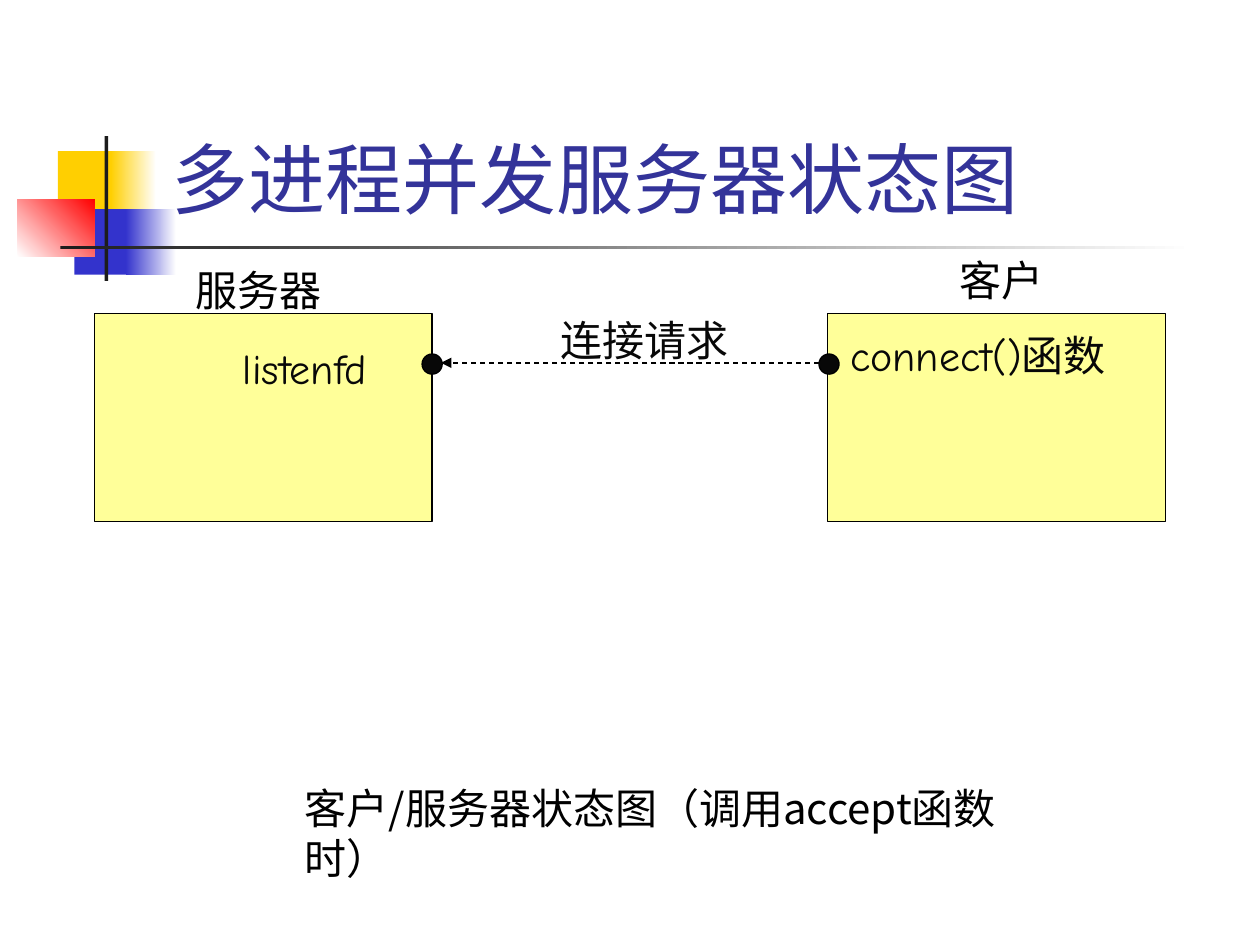
from lxml import etree
from pptx import Presentation
from pptx import util as u
from pptx.dml.color import RGBColor
from pptx.enum import dml, shapes, text
from pptx.oxml.ns import qn

COLORS = {
    "white": "FFFFFF", "black": "000000", "ink": "080808", "bar": "1C1C1C",
    "gold": "FFCF01", "blue": "3333CC", "red": "FF0000",
    "title": "333399", "box": "FFFF99",
}


def rgb(name):
    return RGBColor.from_string(COLORS[name])


class Diagram:
    """Slide on a grid of 100 columns by 75 rows; places are x, y, w, h."""

    def __init__(self, prs):
        self.col, self.row = prs.slide_width / 100, prs.slide_height / 75
        self.s = prs.slides.add_slide(prs.slide_layouts[5])
        self.size = u.Pt(24)
        self.line_width = u.Pt(0.75)

    def place(self, x, y, *extent):
        units = (self.col, self.row, self.col, self.row)
        return [u.Emu(round(v * unit)) for v, unit in zip((x, y, *extent), units)]

    def set_text(self, sp, words, font, color, size, wrap):
        tf = sp.text_frame
        tf.word_wrap = wrap
        p = tf.paragraphs[0]
        p.alignment = text.PP_ALIGN.LEFT
        r = p.add_run()
        r.text = words
        r.font.name, r.font.size = font, size
        r.font.color.rgb = rgb(color)
        return tf

    def title(self, words, at):
        sp = self.s.shapes.title
        sp.left, sp.top, sp.width, sp.height = self.place(*at)
        tf = self.set_text(sp, words, "Cabin", "title", u.Pt(44), True)
        tf.auto_size = text.MSO_AUTO_SIZE.NONE
        tf.vertical_anchor = text.MSO_ANCHOR.BOTTOM

    def label(self, words, at, font="Arial", color="black", wrap=False):
        sp = self.s.shapes.add_textbox(*self.place(*at))
        tf = self.set_text(sp, words, font, color, self.size, wrap)
        tf.auto_size = text.MSO_AUTO_SIZE.SHAPE_TO_FIT_TEXT

    def shape(self, at, fill, kind=shapes.MSO_SHAPE.RECTANGLE, line=None):
        sp = self.s.shapes.add_shape(kind, *self.place(*at))
        sp.shadow.inherit = False
        sp.fill.solid()
        sp.fill.fore_color.rgb = rgb(fill)
        if line:
            sp.line.color.rgb = rgb(line)
            sp.line.width = self.line_width
        else:
            sp.line.fill.background()
        return sp

    def fade(self, at, start, end="white", angle=0):
        sp = self.shape(at, start)
        sp.fill.gradient()
        sp.fill.gradient_angle = angle
        for stop, name in zip(sp.fill.gradient_stops, (start, end)):
            stop.color.rgb = rgb(name)

    def dashed_arrow(self, start, end):
        cxn = self.s.shapes.add_connector(
            shapes.MSO_CONNECTOR.STRAIGHT, *self.place(*start), *self.place(*end))
        cxn.line.color.rgb = rgb("black")
        cxn.line.width = self.line_width
        cxn.line.dash_style = dml.MSO_LINE.DASH
        sp_pr = cxn._element.spPr
        etree.SubElement(sp_pr.find(qn("a:ln")), qn("a:tailEnd"), type="triangle")
        etree.SubElement(sp_pr, qn("a:effectLst"))


def main():
    prs = Presentation()
    prs.slide_width, prs.slide_height = u.Inches(10), u.Inches(7.5)
    d = Diagram(prs)

    # Corner ornament and rule under the title
    d.shape((4.6, 12, 4.8, 5.2), "gold")
    d.fade((8.8, 12, 3.6, 5.2), "gold")
    d.shape((5.9, 16.6, 4.6, 5.2), "blue")
    d.fade((10, 16.6, 4, 5.2), "blue")
    d.fade((1.4, 15.8, 6.1, 4.6), "white", "red", angle=45)
    d.shape((8.3, 10.8, 0.3, 11.5), "bar")
    d.fade((4.8, 19.5, 90, 0.3), "bar")

    d.title("多进程并发服务器状态图", (12.6, 2.3, 85.2, 16))

    # Server and client boxes, with their headings
    for x in (7.5, 65.7):
        d.shape((x, 24.9, 26.8, 16.5), "box", line="black")
    d.label("服务器", (14.5, 20.5, 12, 5))
    d.label("客户", (75.2, 19.7, 8.7, 5))

    # Sockets and the connection request
    for x in (33.5, 65):
        d.shape((x, 28.1, 1.6, 1.6), "ink", shapes.MSO_SHAPE.OVAL, "black")
    d.dashed_arrow((65, 28.8), (35, 28.8))
    d.label("connect()函数", (66.5, 25.7, 23.2, 5), "Comic Neue", "ink")
    d.label("listenfd", (18.3, 26.7, 14.3, 5), "Comic Neue", "ink")
    d.label("连接请求", (43.5, 24.5, 15.3, 5), color="ink")

    # Caption
    d.label("客户/服务器状态图（调用accept函数时）", (23.2, 61.6, 62.4, 5),
            "Noto Sans CJK JP", wrap=True)

    prs.save("out.pptx")


if __name__ == "__main__":
    main()
